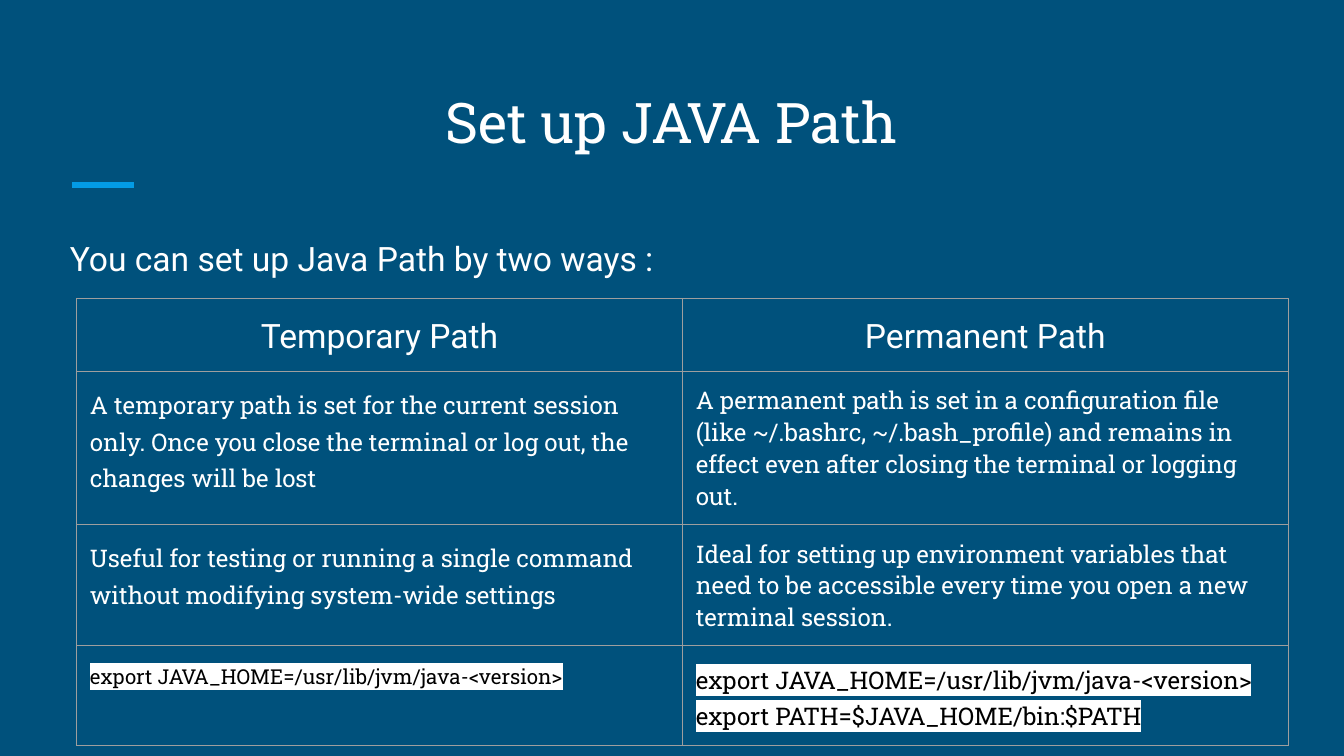
from lxml import etree
from pptx import Presentation
from pptx.dml.color import RGBColor
from pptx.enum import shapes, text
from pptx.oxml.ns import qn
from pptx.util import Cm, Pt

SANS, SLAB = "Roboto", "Roboto Slab"
WHITE, BLACK = "FFFFFF", "000000"
INSET = Cm(0.25)
CENTER, LEFT = text.PP_ALIGN.CENTER, text.PP_ALIGN.LEFT
JAVA_HOME = "export JAVA_HOME=/usr/lib/jvm/java-<version>"

# Each cell: lines, size, font, alignment, line spacing, is a command
COMPARISON = [
    [(["Temporary Path"], 18, SANS, CENTER, 1.15, False),
     (["Permanent Path"], 18, SANS, CENTER, 1.15, False)],
    [(["A temporary path is set for the current session only. Once you close "
       "the terminal or log out, the changes will be lost"],
      13, SLAB, LEFT, 1.15, False),
     (["A permanent path is set in a configuration file (like ~/.bashrc, "
       "~/.bash_profile) and remains in effect even after closing the "
       "terminal or logging out."], 13, SLAB, LEFT, 1, False)],
    [(["Useful for testing or running a single command without modifying "
       "system-wide settings"], 13, SLAB, LEFT, 1.15, False),
     (["Ideal for setting up environment variables that need to be accessible "
       "every time you open a new terminal session."],
      13, SLAB, LEFT, 1, False)],
    [([JAVA_HOME], 11, SLAB, LEFT, 1.15, True),
     ([JAVA_HOME, "export PATH=$JAVA_HOME/bin:$PATH"],
      13, SLAB, LEFT, 1.15, True)],
]
ROW_HEIGHTS = [1.37, 2.9, 2.29, 1.88]


def color(value):
    return RGBColor.from_string(value)


def add_solid_color(parent, tag, value):
    holder = etree.SubElement(parent, qn(tag))
    etree.SubElement(holder, qn("a:srgbClr"), val=value)
    return holder


def write(frame, lines, size, font, align=LEFT, spacing=1, command=False):
    frame.word_wrap = True
    for index, line in enumerate(lines):
        paragraph = frame.paragraphs[0] if index == 0 else frame.add_paragraph()
        paragraph.alignment = align
        paragraph.line_spacing = spacing
        run = paragraph.add_run()
        run.text = line
        run.font.size = Pt(size)
        run.font.name = font
        run.font.color.rgb = color(BLACK if command else WHITE)
        if command:
            properties = run.font._element
            highlight = add_solid_color(properties, "a:highlight", WHITE)
            properties.find(qn("a:solidFill")).addnext(highlight)


def add_textbox(slide, left, top, width, height, anchor, *content):
    frame = slide.shapes.add_textbox(
        Cm(left), Cm(top), Cm(width), Cm(height)).text_frame
    frame.margin_left = frame.margin_right = INSET
    frame.margin_top = frame.margin_bottom = INSET
    frame.vertical_anchor = anchor
    write(frame, *content)


def add_accent(slide, left, top, right):
    accent = slide.shapes.add_connector(
        shapes.MSO_CONNECTOR.STRAIGHT, Cm(left), Cm(top), Cm(right), Cm(top))
    accent.line.color.rgb = color("039BE5")
    accent.line.width = Pt(3)
    etree.SubElement(accent._element.spPr, qn("a:effectLst"))


def set_borders(cell, value, width):
    properties = cell._tc.get_or_add_tcPr()
    for position, side in enumerate(("a:lnL", "a:lnR", "a:lnT", "a:lnB")):
        border = etree.Element(qn(side), w=str(Pt(width)))
        add_solid_color(border, "a:solidFill", value)
        properties.insert(position, border)


def add_comparison(slide, left, top, column_width):
    table = slide.shapes.add_table(
        len(COMPARISON), 2, Cm(left), Cm(top),
        Cm(2 * column_width), Cm(sum(ROW_HEIGHTS))).table
    table.first_row = table.horz_banding = False
    for column in table.columns:
        column.width = Cm(column_width)
    for row, height, contents in zip(table.rows, ROW_HEIGHTS, COMPARISON):
        row.height = Cm(height)
        for cell, content in zip(row.cells, contents):
            cell.margin_left = cell.margin_right = INSET
            cell.margin_top = cell.margin_bottom = INSET
            cell.fill.background()
            set_borders(cell, "9E9E9E", 0.75)
            write(cell.text_frame, *content)


def main():
    presentation = Presentation()
    presentation.slide_width, presentation.slide_height = Cm(25.4), Cm(14.29)
    slide = presentation.slides.add_slide(presentation.slide_layouts[6])
    slide.background.fill.solid()
    slide.background.fill.fore_color.rgb = color("00517C")

    # Heading
    add_accent(slide, 1.37, 3.5, 2.54)
    add_textbox(slide, 1.07, 1.27, 23.24, 1.9, text.MSO_ANCHOR.BOTTOM,
                ["Set up JAVA Path"], 30, SLAB, CENTER)

    # Introduction
    add_textbox(slide, 1.07, 4.14, 23.24, 8.56, text.MSO_ANCHOR.TOP,
                ["You can set up Java Path by two ways :"], 18, SANS, LEFT, 1.15)

    # Two ways side by side
    add_comparison(slide, 1.45, 5.64, 11.45)
    presentation.save("out.pptx")


if __name__ == "__main__":
    main()
